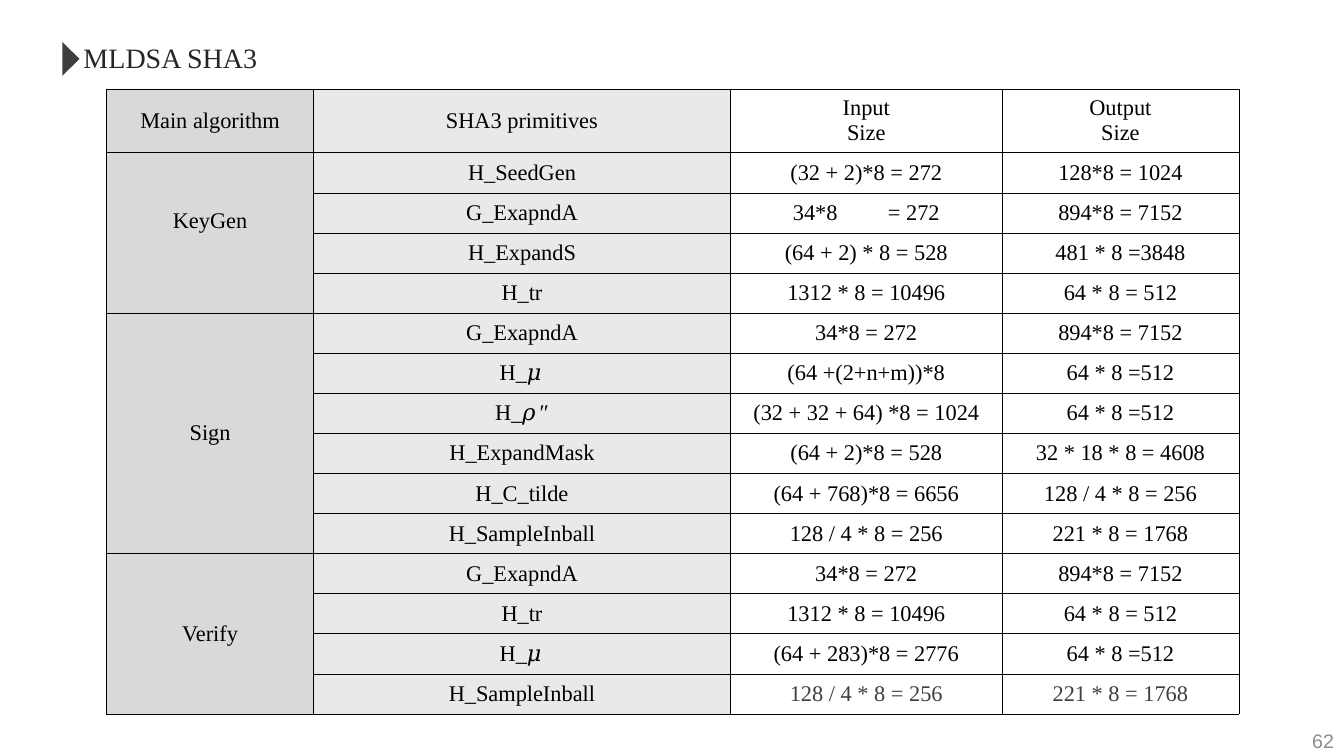
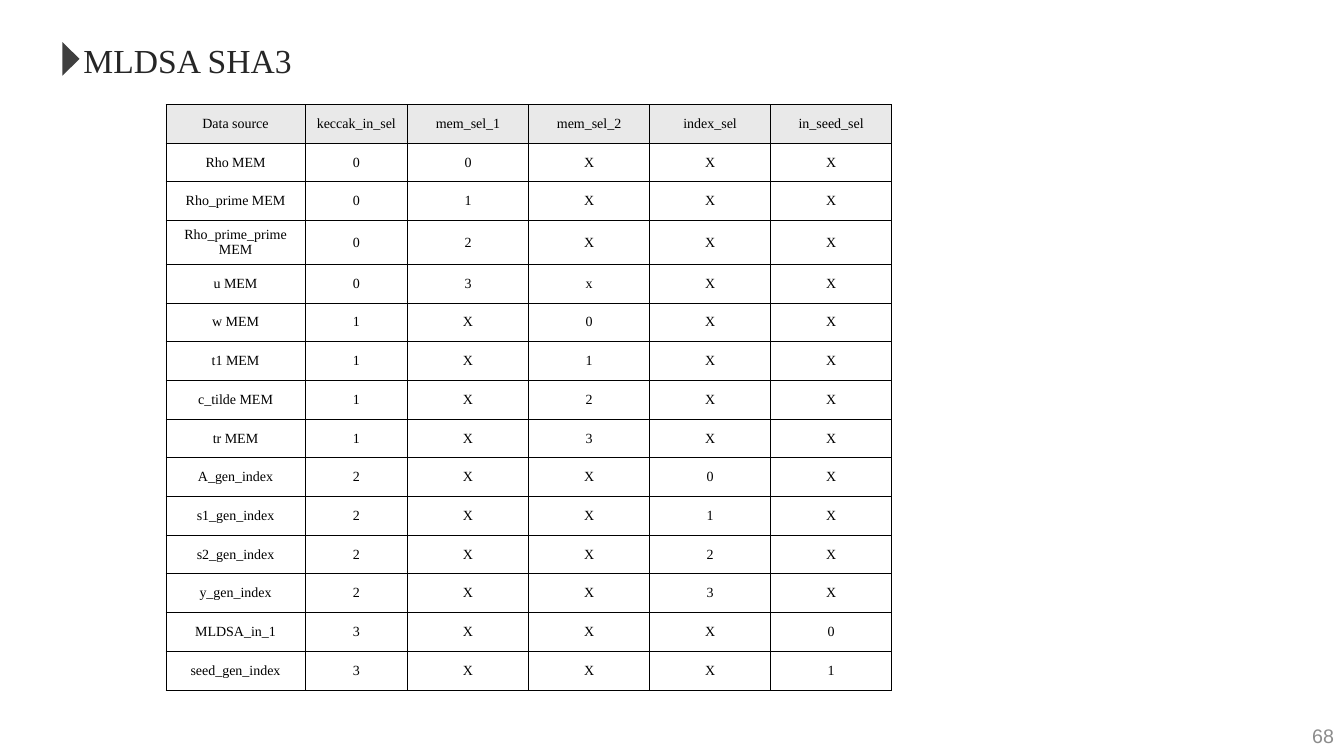
import lxml.etree
import pptx
import pptx.dml.color
import pptx.enum.shapes
import pptx.enum.text
import pptx.oxml.ns
import pptx.util

Cm = pptx.util.Cm
Pt = pptx.util.Pt
ALIGN = pptx.enum.text.PP_ALIGN
ANCHOR = pptx.enum.text.MSO_ANCHOR
FIT = pptx.enum.text.MSO_AUTO_SIZE
SHAPE = pptx.enum.shapes.MSO_SHAPE
qn = pptx.oxml.ns.qn

SERIF, SANS = "Times New Roman", "Arial"
BLACK, WHITE, INK, DARK, MUTED = "000000", "FFFFFF", "262626", "3F3F3F", "8C8C8C"
GRAY, PALE = "D9D9D9", "E9E9E9"

HEAD = ("Main algorithm", "SHA3 primitives", "Input\nSize", "Output\nSize")
STAGES = {
    "KeyGen": [
        ("H_SeedGen", "(32 + 2)*8 = 272", "128*8 = 1024"),
        ("G_ExapndA", "34*8\t= 272", "894*8 = 7152"),
        ("H_ExpandS", "(64 + 2) * 8 = 528", "481 * 8 =3848"),
        ("H_tr", "1312 * 8 = 10496", "64 * 8 = 512"),
    ],
    "Sign": [
        ("G_ExapndA", "34*8 = 272", "894*8 = 7152"),
        ("H_𝜇", "(64 +(2+n+m))*8", "64 * 8 =512"),
        ("H_𝜌″", "(32 + 32 + 64) *8 = 1024", "64 * 8 =512"),
        ("H_ExpandMask", "(64 + 2)*8 = 528", "32 * 18 * 8 = 4608"),
        ("H_C_tilde", "(64 + 768)*8 = 6656", "128 / 4 * 8 = 256"),
        ("H_SampleInball", "128 / 4 * 8 = 256", "221 * 8 = 1768"),
    ],
    "Verify": [
        ("G_ExapndA", "34*8 = 272", "894*8 = 7152"),
        ("H_tr", "1312 * 8 = 10496", "64 * 8 = 512"),
        ("H_𝜇", "(64 + 283)*8 = 2776", "64 * 8 =512"),
        ("H_SampleInball", "128 / 4 * 8 = 256", "221 * 8 = 1768"),
    ],
}
PORTS = ("Data source", "keccak_in_sel", "mem_sel_1", "mem_sel_2", "index_sel", "in_seed_sel")
GROUPS = (
    ("Rho MEM", "Rho_prime MEM", "Rho_prime_prime MEM", "u MEM"),
    ("w MEM", "t1 MEM", "c_tilde MEM", "tr MEM"),
    ("A_gen_index", "s1_gen_index", "s2_gen_index", "y_gen_index"),
    ("MLDSA_in_1", "seed_gen_index"),
)


def tint(code):
    return pptx.dml.color.RGBColor.from_string(code)


class Deck:
    def __init__(self):
        self.show = pptx.Presentation()
        self.show.slide_width = Cm(33.87)
        self.show.slide_height = Cm(19.05)

    def start(self, title, size, number, top):
        self.slide = self.show.slides.add_slide(self.show.slide_layouts[5])
        self.title(title, size)
        self.mark()
        self.number(number, top)

    def put(self, frame, text, size, color, font=SERIF, align=ALIGN.CENTER):
        for spot, line in enumerate(text.split("\n")):
            para = frame.add_paragraph() if spot else frame.paragraphs[0]
            para.alignment = align
            for part in filter(None, line.partition("\t")):
                run = para.add_run()
                run.text = part.replace("\t", " ")
                run.font.name = font
                run.font.size = Pt(size)
                run.font.color.rgb = tint(color)
                if part == "\t":
                    run.font._element.set("spc", "3200")

    def title(self, text, size):
        shape = self.slide.shapes.title
        shape.left, shape.top, shape.width, shape.height = Cm(1.85), Cm(0.89), Cm(6), Cm(1.2)
        frame = shape.text_frame
        frame.auto_size = FIT.NONE
        frame.word_wrap = False
        frame.vertical_anchor = ANCHOR.TOP
        self.put(frame, text, size, INK, align=ALIGN.LEFT)

    def mark(self):
        shape = self.slide.shapes.add_shape(
            SHAPE.ISOSCELES_TRIANGLE, Cm(1.37), Cm(1.27), Cm(0.84), Cm(0.43))
        shape.rotation = 90
        shape.shadow.inherit = False
        shape.fill.solid()
        shape.fill.fore_color.rgb = tint(DARK)
        shape.line.fill.background()

    def number(self, text, top):
        frame = self.slide.shapes.add_textbox(Cm(26.25), Cm(top), Cm(7.62), Cm(1.01)).text_frame
        frame.word_wrap = True
        frame.vertical_anchor = ANCHOR.MIDDLE
        self.put(frame, text, 14, MUTED, SANS, ALIGN.RIGHT)

    def edge(self, cell):
        props = cell._tc.get_or_add_tcPr()
        for side in ("a:lnL", "a:lnR", "a:lnT", "a:lnB"):
            line = lxml.etree.SubElement(props, qn(side), w=str(Pt(0.5)))
            fill = lxml.etree.SubElement(line, qn("a:solidFill"))
            lxml.etree.SubElement(fill, qn("a:srgbClr"), val=BLACK)

    def table(self, rows, left, top, widths, heights, size, look):
        grid = self.slide.shapes.add_table(
            len(rows), len(widths), Cm(left), Cm(top),
            Cm(sum(widths)), Cm(sum(heights))).table
        grid.first_row = grid.horz_banding = False
        for col, width in zip(grid.columns, widths):
            col.width = Cm(width)
        for row, height in zip(grid.rows, heights):
            row.height = Cm(height)
        for r, row in enumerate(rows):
            for c, text in enumerate(row):
                cell = grid.cell(r, c)
                fill, color = look(r, c)
                self.edge(cell)
                cell.fill.solid()
                cell.fill.fore_color.rgb = tint(fill)
                cell.vertical_anchor = ANCHOR.MIDDLE
                self.put(cell.text_frame, text, size, color)
        return grid


def sizes(deck):
    deck.start("MLDSA SHA3", 20, "62", 18.16)
    rows = [HEAD]
    spans = []
    for stage, calls in STAGES.items():
        spans.append((len(rows), len(rows) + len(calls) - 1))
        rows += [(stage if not i else "", *call) for i, call in enumerate(calls)]
    last = len(rows) - 1

    def look(r, c):
        return (GRAY, PALE, WHITE, WHITE)[c], DARK if r == last and c > 1 else BLACK

    grid = deck.table(rows, 2.69, 2.24, (5.21, 10.51, 6.84, 5.97),
                      [1.61] + [1.01] * last, 16, look)
    for first, end in spans:
        grid.cell(first, 0).merge(grid.cell(end, 0))
    grid.cell(1, 0).margin_bottom = Cm(0.73)


def selects(deck):
    deck.start("MLDSA SHA3", 24, "68", 18.03)
    rows = [PORTS]
    for g, names in enumerate(GROUPS):
        for i, name in enumerate(names):
            picks = ["X"] * len(GROUPS)
            picks[g] = str(i)
            rows.append([name, str(g), *picks])
    rows[4][3] = "x"
    heights = [13.65 / 14] * len(rows)
    heights[3] = 1.09
    deck.table(rows, 4.18, 2.63, [3.51, 2.58] + [3.05] * 4, heights, 10,
               lambda r, c: (WHITE if r else PALE, BLACK))


def main():
    deck = Deck()
    sizes(deck)
    selects(deck)
    deck.show.save("out.pptx")


if __name__ == "__main__":
    main()
